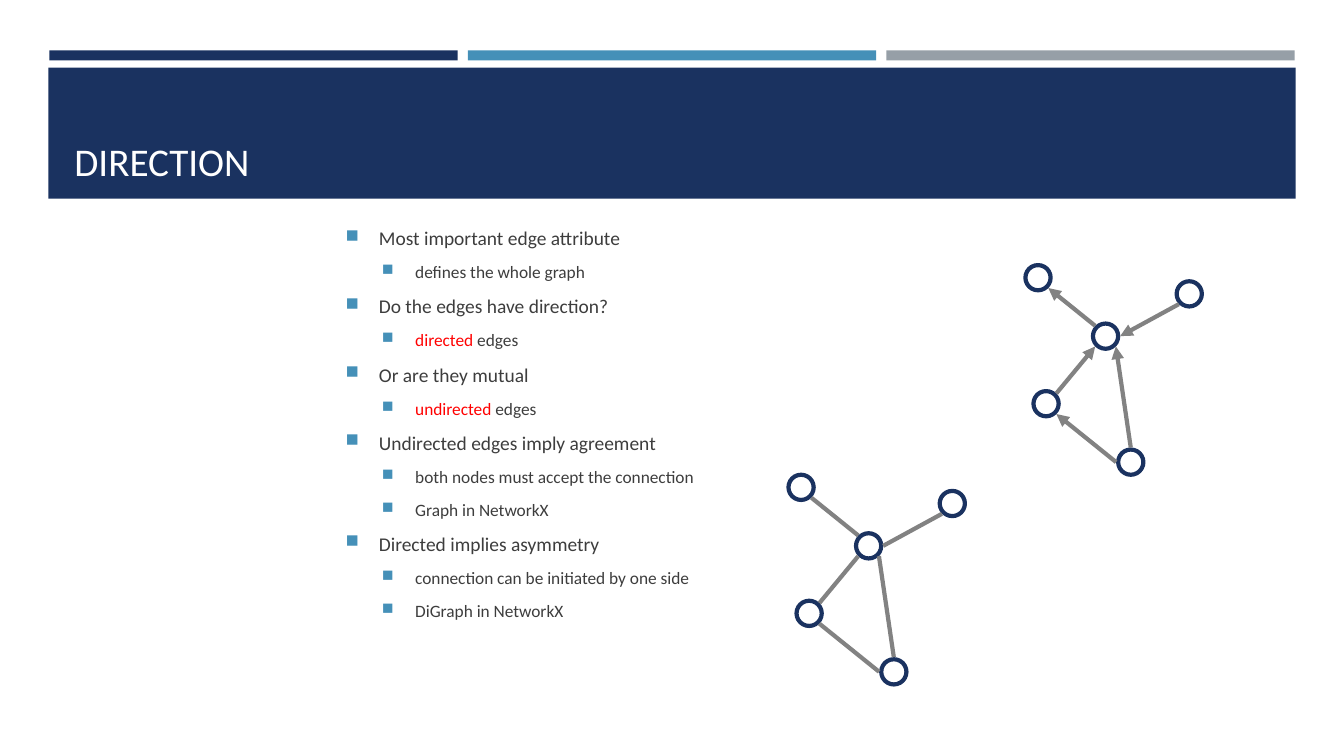
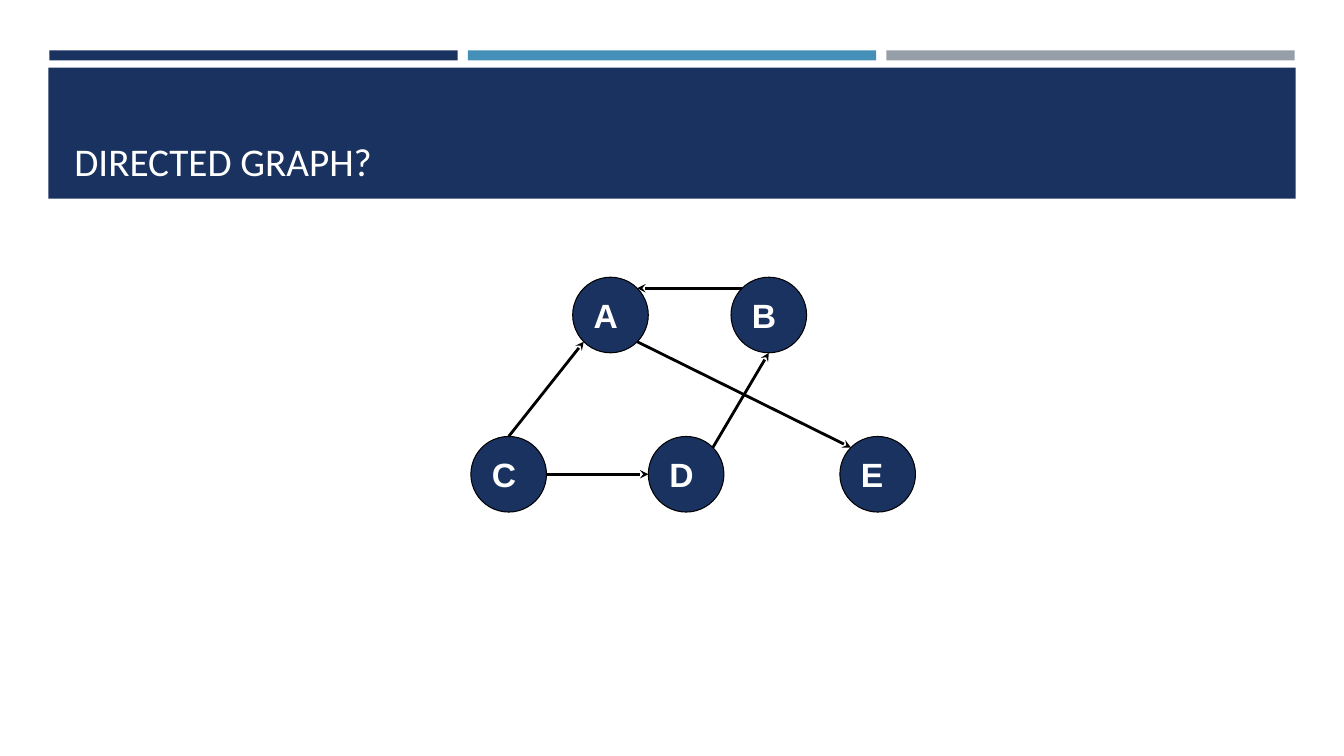
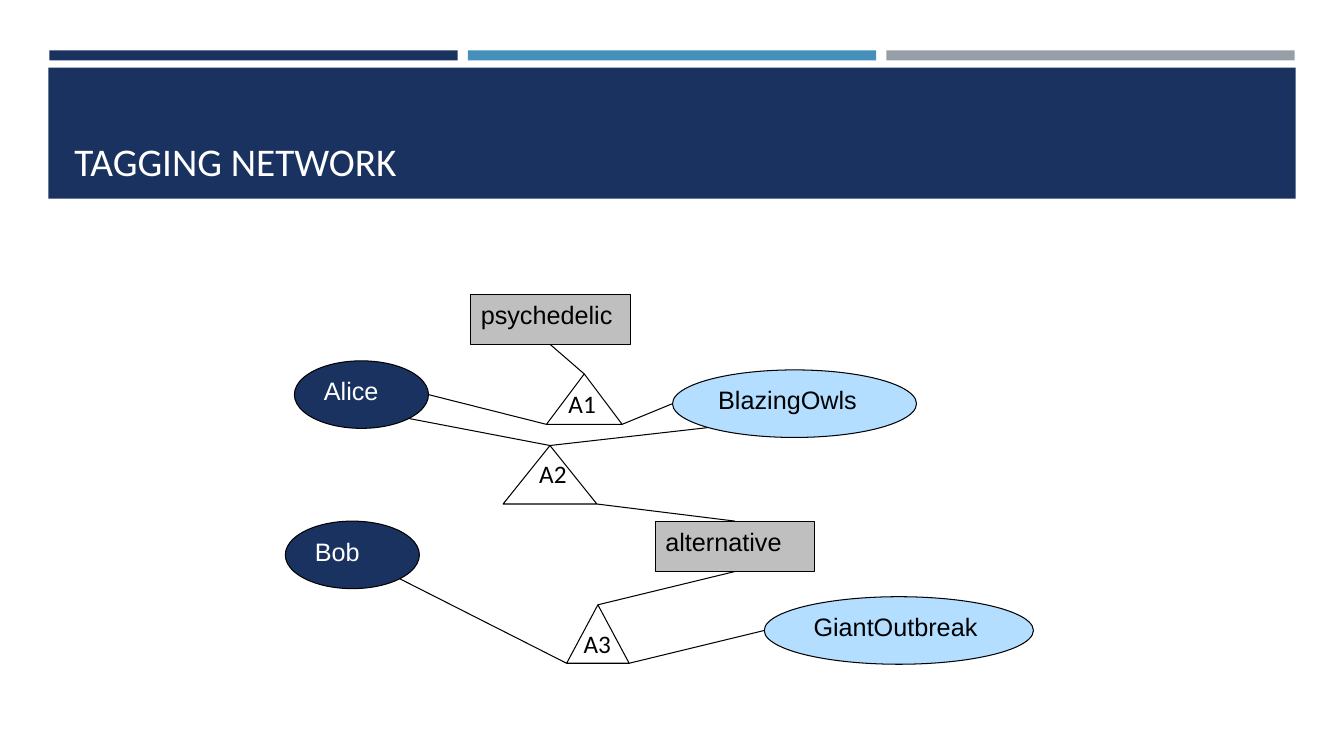
import lxml.etree
import pptx
import pptx.dml.color
import pptx.enum.shapes
import pptx.enum.text
import pptx.oxml.ns
import pptx.util

Inches = pptx.util.Inches
Pt = pptx.util.Pt
RGBColor = pptx.dml.color.RGBColor
Shape = pptx.enum.shapes.MSO_SHAPE
Anchor = pptx.enum.text.MSO_ANCHOR
qn = pptx.oxml.ns.qn

NAVY = RGBColor(0x1A, 0x32, 0x60)
BLUE = RGBColor(0x45, 0x90, 0xB8)
SLATE = RGBColor(0x96, 0x9F, 0xA7)
SKY = RGBColor(0xB3, 0xDE, 0xFF)
SILVER = RGBColor(0xBF, 0xBF, 0xBF)
EDGE_GREY = RGBColor(0x82, 0x82, 0x82)
TEXT_GREY = RGBColor(0x3D, 0x3D, 0x3D)
RED = RGBColor(0xFF, 0x00, 0x00)
BLACK = RGBColor(0x00, 0x00, 0x00)
WHITE = RGBColor(0xFF, 0xFF, 0xFF)

# Horizontal and vertical direction from a shape's centre.
SIDES = {
    "N": (0, -1), "NE": (1, -1), "E": (1, 0), "SE": (1, 1),
    "S": (0, 1), "SW": (-1, 1), "W": (-1, 0), "NW": (-1, -1),
}
RECTANGLE_SITES = {"N": 0, "W": 1, "S": 2, "E": 3}

# Bullets as (level, red words, grey words).
DIRECTION_POINTS = [
    (0, "", "Most important edge attribute"),
    (1, "", "defines the whole graph"),
    (0, "", "Do the edges have direction?"),
    (1, "directed", " edges"),
    (0, "", "Or are they mutual"),
    (1, "undirected", " edges"),
    (0, "", "Undirected edges imply agreement"),
    (1, "", "both nodes must accept the connection"),
    (1, "", "Graph in NetworkX"),
    (0, "", "Directed implies asymmetry"),
    (1, "", "connection can be initiated by one side"),
    (1, "", "DiGraph in NetworkX"),
]

SMALL_NODES = {
    "hub": (0.67, 0.58), "right": (1.5, 0.16), "lower left": (0.08, 1.25),
    "bottom": (0.92, 1.83), "upper left": (0, 0),
}
SMALL_EDGES = [
    ("hub", "NW", "upper left", "SE"),
    ("lower left", "NE", "hub", "SW"),
    ("bottom", "N", "hub", "SE"),
    ("bottom", "W", "lower left", "SE"),
    ("right", "SW", "hub", "E"),
]

LETTER_NODES = {
    "A": (1.01, 0), "B": (2.58, 0),
    "C": (0, 1.58), "D": (1.76, 1.58), "E": (3.66, 1.58),
}
LETTER_EDGES = [
    ("C", "N", "A", "SW"),
    ("C", "E", "D", "W"),
    ("D", "NE", "B", "S"),
    ("A", "SE", "E", "NW"),
    ("B", "NW", "A", "NE"),
]

# Name: kind, fill, text colour, box relative to the network.
TAG_NODES = {
    "Alice": (Shape.OVAL, NAVY, WHITE, (0.09, 0.66, 1.33, 0.67)),
    "BlazingOwls": (Shape.OVAL, SKY, BLACK, (3.84, 0.75, 2.42, 0.67)),
    "Bob": (Shape.OVAL, NAVY, WHITE, (0, 2.25, 1.33, 0.67)),
    "GiantOutbreak": (Shape.OVAL, SKY, BLACK, (4.75, 3, 2.67, 0.67)),
    "psychedelic": (Shape.RECTANGLE, SILVER, BLACK, (1.84, 0, 1.58, 0.5)),
    "alternative": (Shape.RECTANGLE, SILVER, BLACK, (3.67, 2.25, 1.58, 0.5)),
}
# Name: triangle box, then label position, relative to the network.
TAG_ACTIONS = {
    "A1": ((2.59, 0.79, 0.75, 0.5), (2.71, 0.88)),
    "A2": ((2.16, 1.5, 0.93, 0.58), (2.42, 1.58)),
    "A3": ((2.79, 3.08, 0.62, 0.58), (2.86, 3.26)),
}
TAG_EDGES = [
    ("A1", "N", "psychedelic", "S"),
    ("A1", "SW", "Alice", "E"),
    ("A1", "SE", "BlazingOwls", "W"),
    ("A2", "N", "BlazingOwls", "SW"),
    ("A2", "N", "Alice", "SE"),
    ("A2", "SE", "alternative", "N"),
    ("A3", "N", "alternative", "S"),
    ("A3", "SW", "Bob", "SE"),
    ("A3", "SE", "GiantOutbreak", "W"),
]


def add_outline(page, kind, box, fill=None, line=None, width=0.75):
    shape = page.shapes.add_shape(kind, *(Inches(length) for length in box))
    shape.shadow.inherit = False
    if fill is None:
        shape.fill.background()
    else:
        shape.fill.solid()
        shape.fill.fore_color.rgb = fill
    if line is None:
        shape.line.fill.background()
    else:
        shape.line.color.rgb = line
        shape.line.width = Pt(width)
    return shape


def style_font(font, name, size, colour, bold=False):
    font.name = name
    font.size = Pt(size)
    font.color.rgb = colour
    font.bold = bold


def write(shape, text, name, size, colour, anchor=Anchor.TOP, bold=False):
    """Put one left-aligned paragraph into a shape."""
    frame = shape.text_frame
    frame.word_wrap = True
    frame.vertical_anchor = anchor
    para = frame.paragraphs[0]
    para.text = text
    para.alignment = pptx.enum.text.PP_ALIGN.LEFT
    style_font(para.font, name, size, colour, bold)


def add_text(page, box, *args, **kwargs):
    label = page.shapes.add_textbox(*(Inches(length) for length in box))
    write(label, *args, **kwargs)


def side_point(shape, side, clearance):
    """Return the point on a shape's outline, pushed out by the clearance."""
    across, down = SIDES[side]
    is_oval = shape.auto_shape_type == Shape.OVAL
    reach = 0.5 ** 0.5 if is_oval and across and down else 1
    x = shape.left + shape.width / 2
    y = shape.top + shape.height / 2
    x += across * reach * (shape.width / 2 + clearance)
    y += down * reach * (shape.height / 2 + clearance)
    return round(x), round(y)


def add_edges(page, nodes, edges, colour, width, arrow=None, clearance=0):
    for source, source_side, target, target_side in edges:
        start = side_point(nodes[source], source_side, Inches(clearance))
        end = side_point(nodes[target], target_side, Inches(clearance))
        edge = page.shapes.add_connector(
            pptx.enum.shapes.MSO_CONNECTOR.STRAIGHT, *start, *end)
        if nodes[target].auto_shape_type == Shape.RECTANGLE:
            edge.end_connect(nodes[target], RECTANGLE_SITES[target_side])
        edge.line.color.rgb = colour
        edge.line.width = Pt(width)
        properties = edge.element.spPr
        if arrow:
            outline = properties.find(qn("a:ln"))
            lxml.etree.SubElement(outline, qn("a:tailEnd"), type=arrow)
        lxml.etree.SubElement(properties, qn("a:effectLst"))


def add_page(deck, title):
    """Add a slide with the three stripes and the title band."""
    page = deck.slides.add_slide(deck.slide_layouts[6])
    for index, colour in enumerate((NAVY, BLUE, SLATE)):
        stripe = (0.49 + 4.15 * index, 0.5, 4.05, 0.1)
        add_outline(page, Shape.RECTANGLE, stripe, colour)
    add_outline(page, Shape.RECTANGLE, (0.48, 0.67, 12.37, 1.3), NAVY)
    add_text(page, (0.64, 0.77, 12.06, 1.11), title, "Calibri", 28, WHITE,
             Anchor.BOTTOM)
    return page


def set_bullet(para, indent):
    properties = para._p.get_or_add_pPr()
    properties.set("marL", str(Inches(indent)))
    properties.set("indent", str(Inches(-0.33)))
    colour = lxml.etree.SubElement(properties, qn("a:buClr"))
    lxml.etree.SubElement(colour, qn("a:srgbClr"), val=str(BLUE))
    lxml.etree.SubElement(properties, qn("a:buSzPct"), val="92000")
    lxml.etree.SubElement(properties, qn("a:buChar"), char="■")


def add_points(page, box, points):
    frame = page.shapes.add_textbox(
        *(Inches(length) for length in box)).text_frame
    frame.word_wrap = True
    frame.vertical_anchor = Anchor.MIDDLE
    for index, (level, red_words, grey_words) in enumerate(points):
        para = frame.add_paragraph() if index else frame.paragraphs[0]
        size = (13.9, 12.4)[level]
        para.level = level
        para.space_before = Pt(0.2 * size)
        para.space_after = Pt(6)
        set_bullet(para, (0.33, 0.69)[level])
        style_font(para.font, "Calibri", size, TEXT_GREY)
        if red_words:
            span = para.add_run()
            span.text = red_words
            span.font.color.rgb = RED
        para.add_run().text = grey_words


def add_small_graph(page, left, top, arrow=None):
    nodes = {
        name: add_outline(page, Shape.OVAL, (left + x, top + y, 0.25, 0.25),
                          line=NAVY, width=3)
        for name, (x, y) in SMALL_NODES.items()
    }
    add_edges(page, nodes, SMALL_EDGES, EDGE_GREY, 3, arrow, clearance=0.02)


def add_letter_graph(page, left, top):
    nodes = {}
    for letter, (x, y) in LETTER_NODES.items():
        node = add_outline(page, Shape.OVAL, (left + x, top + y, 0.75, 0.75),
                           NAVY, BLACK)
        write(node, letter, "Arial", 24, WHITE, Anchor.MIDDLE, bold=True)
        nodes[letter] = node
    add_edges(page, nodes, LETTER_EDGES, BLACK, 2, "stealth")


def add_tag_network(page, left, top):
    nodes = {}
    for name, (kind, fill, colour, (x, y, *size)) in TAG_NODES.items():
        node = add_outline(page, kind, (left + x, top + y, *size), fill, BLACK)
        write(node, name, "Arial", 18, colour)
        nodes[name] = node
    for name, ((x, y, *size), (label_x, label_y)) in TAG_ACTIONS.items():
        nodes[name] = add_outline(page, Shape.ISOSCELES_TRIANGLE,
                                  (left + x, top + y, *size), line=BLACK)
        add_text(page, (left + label_x, top + label_y, 0.5, 0.4), name,
                 "Calibri", 18, BLACK)
    add_edges(page, nodes, TAG_EDGES, BLACK, 0.75)


def main():
    deck = pptx.Presentation()
    deck.slide_width = Inches(13.33)
    deck.slide_height = Inches(7.5)

    page = add_page(deck, "DIRECTION")
    add_points(page, (3.33, 2.1, 6.24, 4.2), DIRECTION_POINTS)
    add_small_graph(page, 10.17, 2.63, "triangle")
    add_small_graph(page, 7.82, 4.71)

    page = add_page(deck, "DIRECTED GRAPH?")
    add_letter_graph(page, 4.67, 2.75)

    page = add_page(deck, "TAGGING NETWORK")
    add_tag_network(page, 2.83, 2.92)

    deck.save("out.pptx")


if __name__ == "__main__":
    main()
